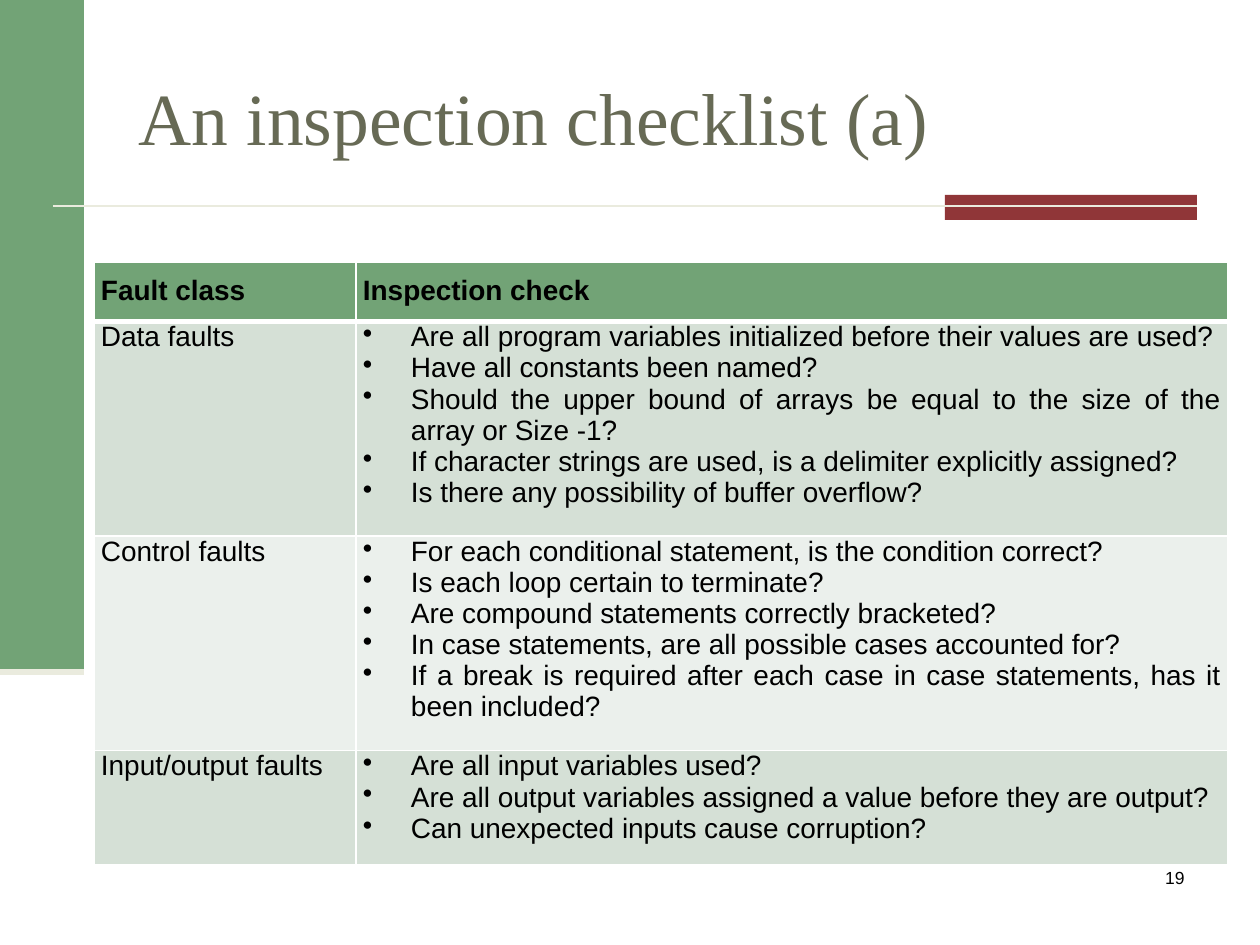
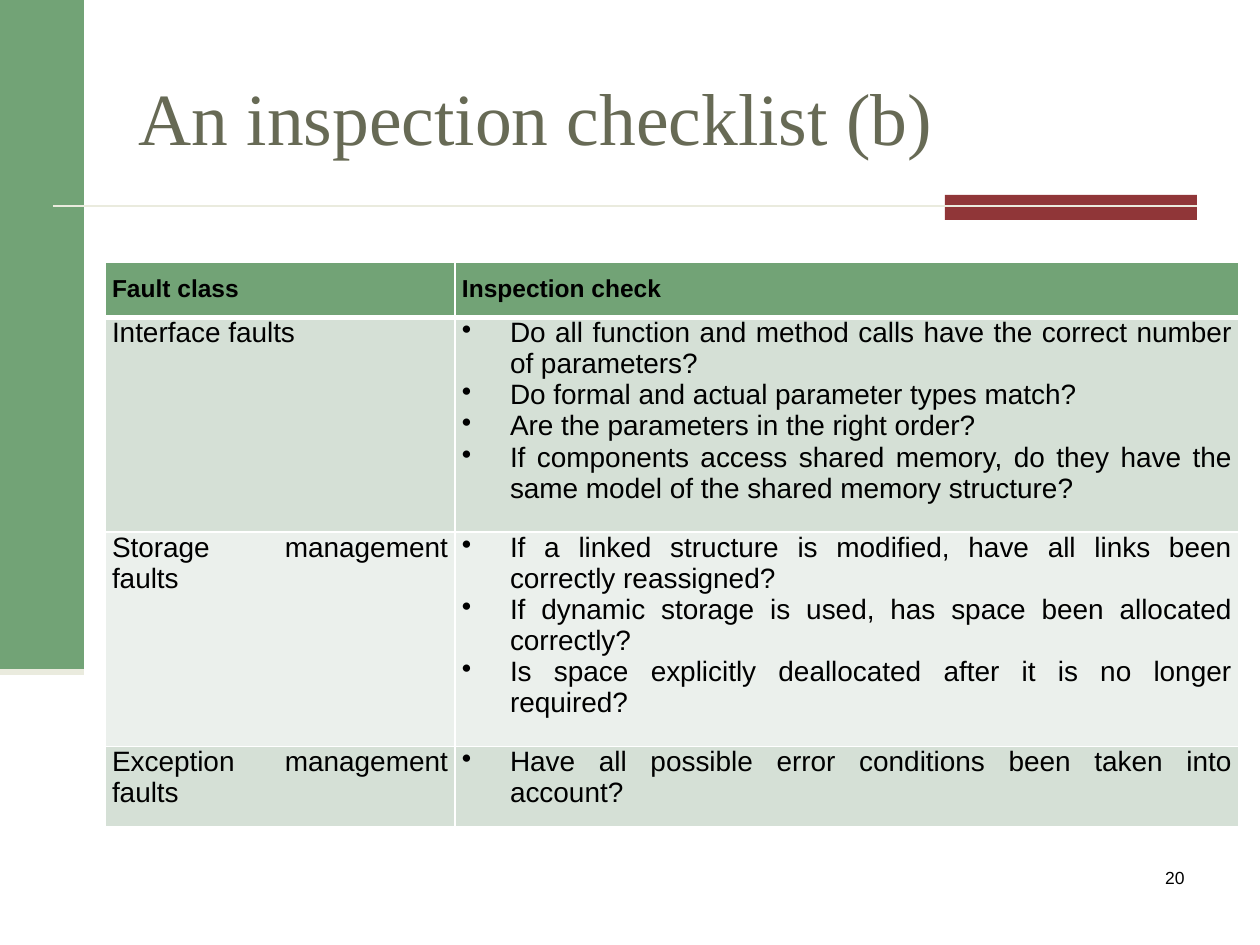
import pptx
import pptx.util
import pptx.dml.color
import pptx.enum.shapes
import pptx.enum.text
import pptx.oxml
import pptx.oxml.ns
from lxml import etree

PX_PER_INCH = 126
GREEN, RED, CREAM = "72A376", "903638", "EAEBDE"
OLIVE, BLACK, WHITE = "676A55", "000000", "FFFFFF"
ROW_FILLS = ("D5E0D6", "EBF0EC")
TITLE_FONT, BODY_FONT = "Times New Roman", "Arial"
ALIGN = pptx.enum.text.PP_ALIGN
ANCHOR = pptx.enum.text.MSO_ANCHOR

CHECKLISTS = [
    dict(title="An inspection checklist (a)", page=19, box=(94, 262, 1134, 560),
         first_col=262, row_heights=(56, 199, 199, 106), header_size=16,
         faults=[
             ("Data faults", [
                 "Are all program variables initialized before their values are used?",
                 "Have all constants been named?",
                 "Should the upper bound of arrays be equal to the size of the array or Size -1?",
                 "If character strings are used, is a delimiter explicitly assigned?",
                 "Is there any possibility of buffer overflow?"]),
             ("Control faults", [
                 "For each conditional statement, is the condition correct?",
                 "Is each loop certain to terminate?",
                 "Are compound statements correctly bracketed?",
                 "In case statements, are all possible cases accounted for?",
                 "If a break is required after each case in case statements, has it been included?"]),
             ("Input/output faults", [
                 "Are all input variables used?",
                 "Are all output variables assigned a value before they are output?",
                 "Can unexpected inputs cause corruption?"])]),
    dict(title="An inspection checklist (b)", page=20, box=(105, 262, 1134, 525),
         first_col=350, row_heights=(53, 199, 199, 74), header_size=14,
         faults=[
             ("Interface faults", [
                 "Do all function and method calls have the correct number of parameters?",
                 "Do formal and actual parameter types match?",
                 "Are the parameters in the right order?",
                 "If components access shared memory, do they have the same model of the "
                 "shared memory structure?"]),
             ("Storage management faults", [
                 "If a linked structure is modified, have all links been correctly reassigned?",
                 "If dynamic storage is used, has space been allocated correctly?",
                 "Is space explicitly deallocated after it is no longer required?"]),
             ("Exception management faults", [
                 "Have all possible error conditions been taken into account?"])]),
]


def px(n):
    return pptx.util.Emu(round(n * 914400 / PX_PER_INCH))


def rgb(color):
    return pptx.dml.color.RGBColor.from_string(color)


def style(p, size, color=BLACK, font=BODY_FONT, bold=False, align=ALIGN.JUSTIFY):
    p.alignment = align
    for r in p.runs:
        r.font.size, r.font.name, r.font.bold = pptx.util.Pt(size), font, bold
        r.font.color.rgb = rgb(color)


def add_band(s, box, color):
    sp = s.shapes.add_shape(pptx.enum.shapes.MSO_SHAPE.RECTANGLE, *map(px, box))
    sp.shadow.inherit = False
    sp.fill.solid()
    sp.fill.fore_color.rgb = rgb(color)
    sp.line.fill.background()


def add_rule(s, left, right, y, width):
    line = s.shapes.add_connector(pptx.enum.shapes.MSO_CONNECTOR.STRAIGHT,
                                  px(left), px(y), px(right), px(y))
    line.line.color.rgb = rgb(CREAM)
    line.line.width = pptx.util.Pt(width)
    etree.SubElement(line._element.spPr, pptx.oxml.ns.qn("a:effectLst"))


def add_frame(s, title, page):
    # Side band, accent bar and rules
    add_band(s, (0, 0, 84, 672), GREEN)
    add_band(s, (945, 195, 252, 25), RED)
    add_rule(s, 53, 1197, 206, 1.5)
    add_rule(s, 0, 84, 672, 3.5)

    # Title
    sp = s.shapes.title
    sp.left, sp.top, sp.width, sp.height = map(px, (126, 38, 1071, 157))
    tf = sp.text_frame
    tf.text = title
    tf.vertical_anchor = ANCHOR.MIDDLE
    style(tf.paragraphs[0], 42, OLIVE, TITLE_FONT, align=ALIGN.LEFT)

    # Page number
    tf = s.shapes.add_textbox(*map(px, (935, 861, 262, 63))).text_frame
    tf.word_wrap = True
    tf.text = str(page)
    style(tf.paragraphs[0], 10, align=ALIGN.RIGHT)


def set_borders(cell, bottom):
    tc_pr = cell._tc.get_or_add_tcPr()
    for side, width in (("L", 1), ("R", 1), ("T", 1), ("B", bottom)):
        tc_pr.append(pptx.oxml.parse_xml(
            f'<a:ln{side} {pptx.oxml.ns.nsdecls("a")} w="{pptx.util.Pt(width)}">'
            f'<a:solidFill><a:srgbClr val="{WHITE}"/></a:solidFill></a:ln{side}>'))


def add_bullet(p):
    p_pr = p._p.get_or_add_pPr()
    p_pr.set("marL", str(px(48)))
    p_pr.set("indent", str(-px(48)))
    etree.SubElement(p_pr, pptx.oxml.ns.qn("a:buChar")).set("char", "•")


def fill_cell(cell, lines, size, fill, header=False, bullets=False):
    set_borders(cell, bottom=3 if header else 1)
    cell.fill.solid()
    cell.fill.fore_color.rgb = rgb(fill)
    cell.margin_left = cell.margin_right = px(7)
    cell.margin_top, cell.margin_bottom = px(13 if header else 0), px(13)
    cell.text_frame.text = "\n".join(lines)
    for p in cell.text_frame.paragraphs:
        style(p, size, bold=header)
        if bullets:
            add_bullet(p)


def add_checklist(s, box, first_col, row_heights, header_size, faults):
    table = s.shapes.add_table(len(faults) + 1, 2, *map(px, box)).table
    for column, width in zip(table.columns, (first_col, box[2] - first_col)):
        column.width = px(width)
    for row, height in zip(table.rows, row_heights):
        row.height = px(height)
    for i, heading in enumerate(("Fault class", "Inspection check")):
        fill_cell(table.cell(0, i), [heading], header_size, GREEN, header=True)
    for i, (fault, checks) in enumerate(faults):
        fill = ROW_FILLS[i % 2]
        fill_cell(table.cell(i + 1, 0), [fault], 16, fill)
        fill_cell(table.cell(i + 1, 1), checks, 16, fill, bullets=True)


def add_checklist_slide(prs, title, page, **checklist):
    s = prs.slides.add_slide(prs.slide_layouts[5])
    add_frame(s, title, page)
    add_checklist(s, **checklist)


def main():
    prs = pptx.Presentation()
    prs.slide_width, prs.slide_height = px(1260), px(945)
    for checklist in CHECKLISTS:
        add_checklist_slide(prs, **checklist)
    prs.save("out.pptx")


if __name__ == "__main__":
    main()
